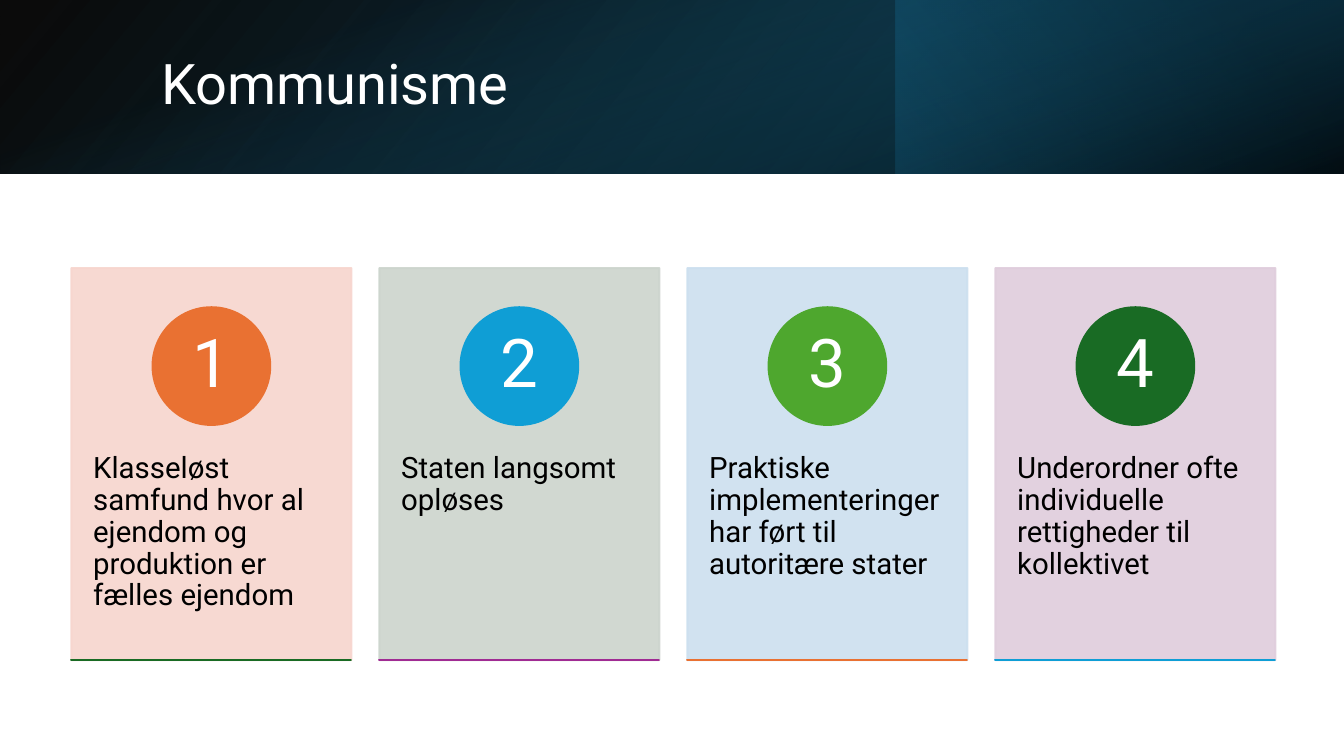
from lxml.etree import SubElement
from pptx import Presentation
from pptx.dml.color import RGBColor
from pptx.enum.shapes import MSO_SHAPE as Preset
from pptx.enum.text import MSO_ANCHOR as Anchor, MSO_AUTO_SIZE as AutoSize, PP_ALIGN as Align
from pptx.oxml.ns import qn
from pptx.util import Pt

WIDTH, HEIGHT = 960, 540
BANNER = 124
CARD_LEFT, CARD_TOP, CARD_WIDTH, CARD_HEIGHT, CARD_PITCH = 51, 191.5, 200, 280, 220
CIRCLE, NUMBER = 84, 59

CARDS = [
    ("Klasseløst samfund hvor al ejendom og produktion er fælles ejendom", "F7D5CE", "E97132", "196B24"),
    ("Staten langsomt opløses", "CCD4CD", "0F9ED5", "A02B93"),
    ("Praktiske implementeringer har ført til autoritære stater", "CCDFEF", "4EA72E", "E97132"),
    ("Underordner ofte individuelle rettigheder til kollektivet", "DFCDDC", "196B24", "0F9ED5"),
]


def color(value):
    return RGBColor.from_string(value)


def set_opacity(parent, percent):
    for node in parent.iter(qn("a:srgbClr")):
        SubElement(node, qn("a:alpha")).set("val", str(percent * 1000))


class Deck:
    font_name = "Roboto"

    def __init__(self, presentation):
        self.slide = presentation.slides.add_slide(presentation.slide_layouts[5])

    def shape(self, preset, box, fill, opacity=100):
        shape = self.slide.shapes.add_shape(preset, *map(Pt, box))
        shape.shadow.inherit = False
        shape.fill.solid()
        shape.fill.fore_color.rgb = color(fill)
        shape.line.color.rgb = color(fill)
        shape.line.width = Pt(1.5)
        if opacity < 100:
            set_opacity(shape.element.spPr, opacity)
        return shape

    def gradient(self, box, stops, angle, rotation=0, flip=False):
        shape = self.shape(Preset.RECTANGLE, box, "FFFFFF")
        shape.line.fill.background()
        shape.rotation = rotation
        if flip:
            shape.element.spPr.find(qn("a:xfrm")).set("flipH", "1")
        shape.fill.gradient()
        shape.fill.gradient_angle = 360 - angle
        nodes = shape.element.spPr.iter(qn("a:gs"))
        for stop, node, (position, value, opacity) in zip(shape.fill.gradient_stops, nodes, stops):
            stop.position = position / 100
            stop.color.rgb = color(value)
            set_opacity(node, opacity)

    def fill_text(self, shape, text, size, value, align=Align.LEFT, **frame_format):
        frame = shape.text_frame
        frame.text = text
        frame_format = {"word_wrap": True, "auto_size": AutoSize.NONE, **frame_format}
        for name, setting in frame_format.items():
            setattr(frame, name, setting)
        paragraph = frame.paragraphs[0]
        paragraph.alignment = align
        paragraph.line_spacing = 0.9
        font = paragraph.runs[0].font
        for name, setting in {"name": self.font_name, "size": Pt(size)}.items():
            setattr(font, name, setting)
        font.color.rgb = color(value)

    def title(self, box, text):
        title = self.slide.shapes.title
        title.element.getparent().append(title.element)
        for name, length in zip(("left", "top", "width", "height"), box):
            setattr(title, name, Pt(length))
        self.fill_text(title, text, 40, "FFFFFF", vertical_anchor=Anchor.MIDDLE)

    def text(self, box, text, size, value, inset, **text_format):
        side, end = map(Pt, inset)
        textbox = self.slide.shapes.add_textbox(*map(Pt, box))
        self.fill_text(textbox, text, size, value, margin_left=side, margin_right=side,
                       margin_top=end, margin_bottom=end, **text_format)

    def card(self, left, number, text, fill, accent, rule):
        center = left + CARD_WIDTH / 2
        middle = CARD_TOP + 70
        self.shape(Preset.RECTANGLE, (left, CARD_TOP, CARD_WIDTH, CARD_HEIGHT), fill, 90)
        self.text((left, 298, CARD_WIDTH, 168), text, 21, "000000", (15.6, 26))
        self.shape(Preset.OVAL, (center - CIRCLE / 2, middle - CIRCLE / 2, CIRCLE, CIRCLE), accent)
        self.text((center - NUMBER / 2, middle - NUMBER / 2, NUMBER, NUMBER), str(number), 48,
                  "FFFFFF", (6.5, 1), align=Align.CENTER, vertical_anchor=Anchor.MIDDLE)
        self.shape(Preset.RECTANGLE, (left, CARD_TOP + CARD_HEIGHT, CARD_WIDTH, 0), rule)


def main():
    presentation = Presentation()
    presentation.slide_width, presentation.slide_height = Pt(WIDTH), Pt(HEIGHT)
    deck = Deck(presentation)
    deck.gradient((0, 0, WIDTH, BANNER), [(0, "000000", 96), (100, "104862", 100)], 140, flip=True)
    deck.gradient((WIDTH * 2 / 3, 0, WIDTH / 3, BANNER),
                  [(19, "0B3041", 68), (100, "156082", 79)], 320, rotation=180)
    deck.gradient(((WIDTH - BANNER) / 2, (BANNER - WIDTH) / 2, BANNER, WIDTH),
                  [(23, "156082", 0), (99, "000000", 74)], 340, rotation=90)
    deck.title((108, 27.5, 790, 69), "Kommunisme")
    for index, card in enumerate(CARDS):
        deck.card(CARD_LEFT + index * CARD_PITCH, index + 1, *card)
    presentation.save("out.pptx")


if __name__ == "__main__":
    main()
